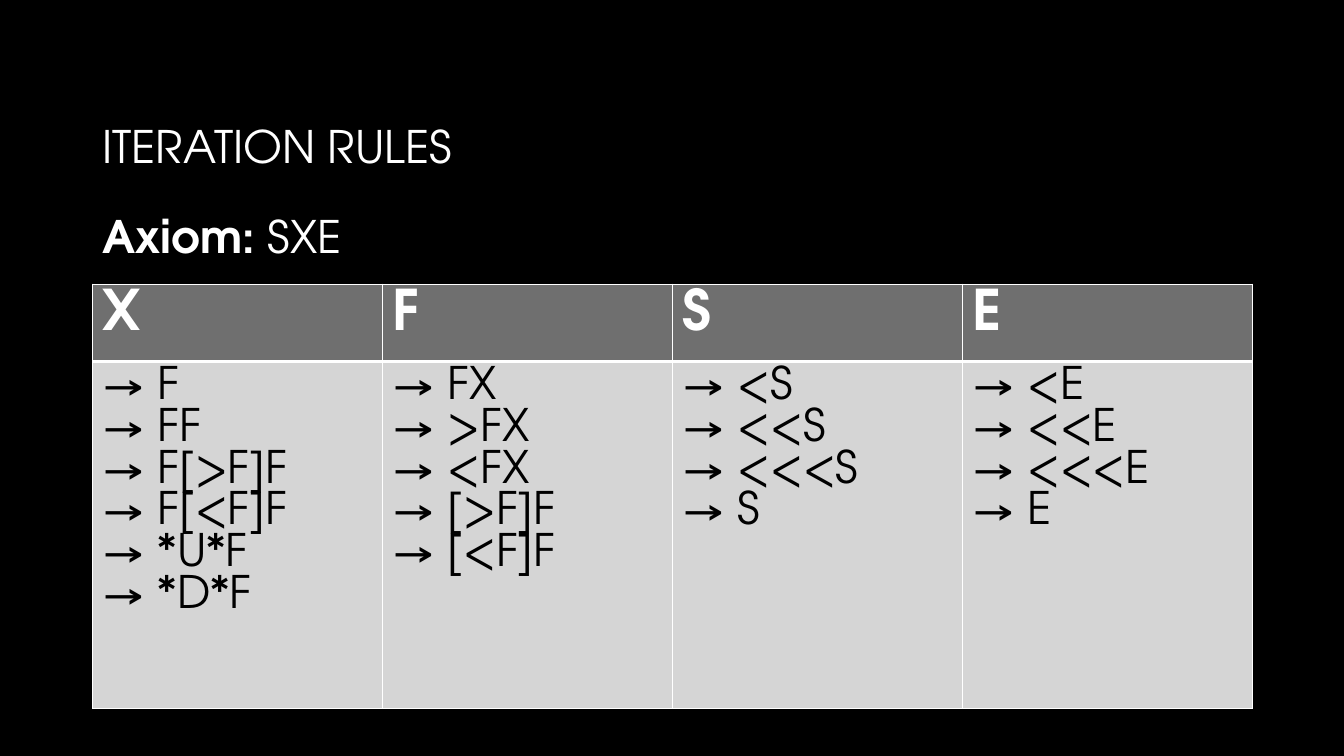
from lxml import etree
from pptx import Presentation
from pptx.dml.color import RGBColor
from pptx.enum.text import MSO_ANCHOR
from pptx.oxml.ns import qn
from pptx.util import Inches, Pt

TOP, MIDDLE = MSO_ANCHOR.TOP, MSO_ANCHOR.MIDDLE

TITLE = "ITERATION RULES"
AXIOM = [("Axiom: ", True), ("SXE", False)]
RULES = {
    "X": ["F", "FF", "F[>F]F", "F[<F]F", "*U*F", "*D*F"],
    "F": ["FX", ">FX", "<FX", "[>F]F", "[<F]F"],
    "S": ["<S", "<<S", "<<<S", "S"],
    "E": ["<E", "<<E", "<<<E", "E"],
}
FONT = "TeX Gyre Adventor"
COLORS = {"back": "000000", "light": "FFFFFF", "dark": "000000",
          "header": "6F6F6F", "body": "D5D5D5"}
LEFT, TABLE_TOP, TABLE_WIDTH = 0.92, 2.82, 11.5
ROW_HEIGHTS = [0.67, 3.44]
THIN, THICK = 1, 3


def rgb(name):
    return RGBColor.from_string(COLORS[name])


def add_run(p, text, size=32, color="light", bold=False):
    r = p.add_run()
    r.text = text
    for key, value in {"name": FONT, "size": Pt(size), "bold": bold}.items():
        setattr(r.font, key, value)
    r.font.color.rgb = rgb(color)


def add_text(s, box, runs, anchor):
    tf = s.shapes.add_textbox(*map(Inches, box)).text_frame
    tf.word_wrap = True
    tf.vertical_anchor = anchor
    for text, bold in runs:
        add_run(tf.paragraphs[0], text, bold=bold)


def set_borders(cell, widths):
    """Draw light lines; widths maps each side (L, R, T, B) to points."""
    tc_pr = cell._tc.get_or_add_tcPr()
    for side, width in widths.items():
        ln = etree.SubElement(tc_pr, qn(f"a:ln{side}"), w=str(Pt(width)))
        fill = etree.SubElement(ln, qn("a:solidFill"))
        etree.SubElement(fill, qn("a:srgbClr"), val=COLORS["light"])


def fill_cell(cell, lines, fill, widths, **style):
    set_borders(cell, widths)
    cell.fill.solid()
    cell.fill.fore_color.rgb = rgb(fill)
    tf = cell.text_frame
    for i, line in enumerate(lines):
        p = tf.add_paragraph() if i else tf.paragraphs[0]
        add_run(p, line, **style)


def add_rules(s):
    box = (LEFT, TABLE_TOP, TABLE_WIDTH, sum(ROW_HEIGHTS))
    table = s.shapes.add_table(2, len(RULES), *map(Inches, box)).table
    for row, height in zip(table.rows, ROW_HEIGHTS):
        row.height = Inches(height)
    thin = dict.fromkeys("LRTB", THIN)
    for col, (symbol, results) in enumerate(RULES.items()):
        table.columns[col].width = Inches(TABLE_WIDTH / len(RULES))
        fill_cell(table.cell(0, col), [symbol], "header", {**thin, "B": THICK},
                  size=40, bold=True)
        fill_cell(table.cell(1, col), [f"→ {text}" for text in results], "body",
                  {**thin, "T": THICK}, color="dark")


def main():
    prs = Presentation()
    prs.slide_width, prs.slide_height = Inches(13.33), Inches(7.5)
    s = prs.slides.add_slide(prs.slide_layouts[6])
    s.background.fill.solid()
    s.background.fill.fore_color.rgb = rgb("back")
    add_text(s, (LEFT, 0.4, 10.83, 2.08), [(TITLE, False)], MIDDLE)
    add_rules(s)
    add_text(s, (LEFT, 2.02, 3.79, 0.64), AXIOM, TOP)
    prs.save("out.pptx")


if __name__ == "__main__":
    main()
